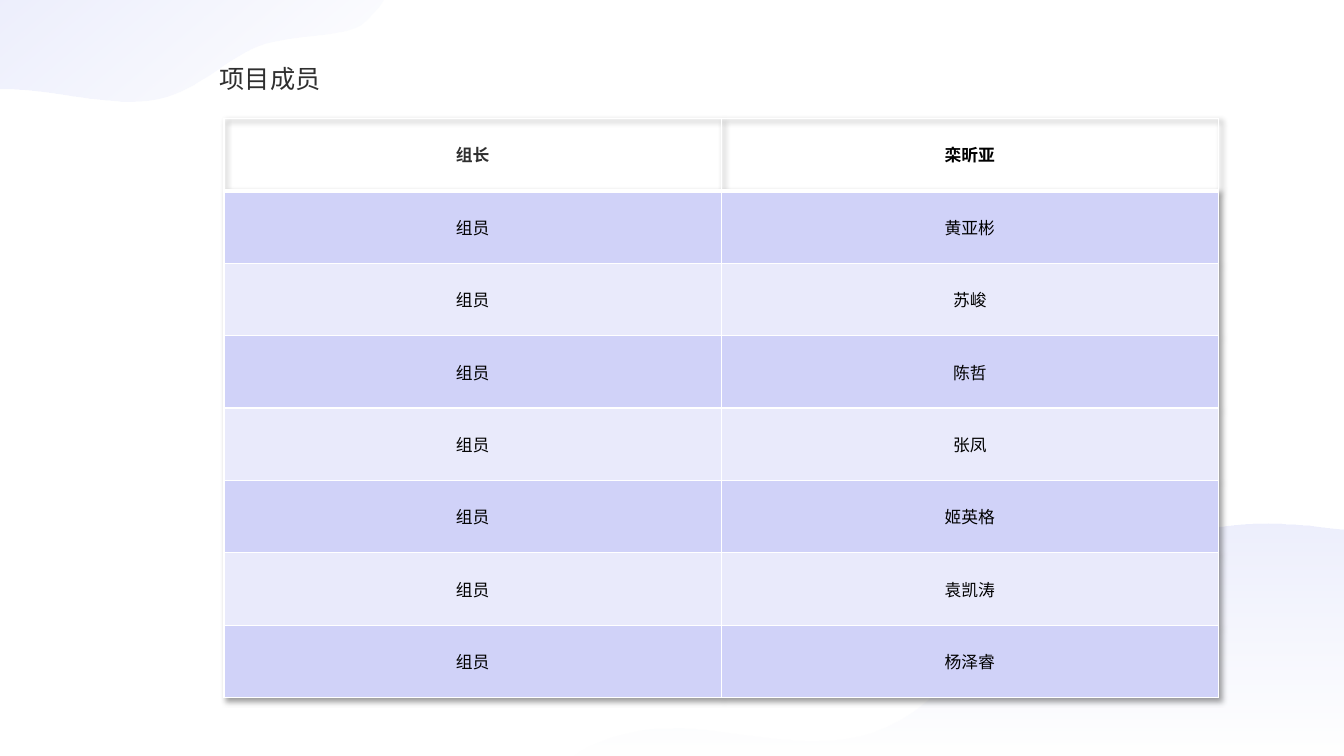
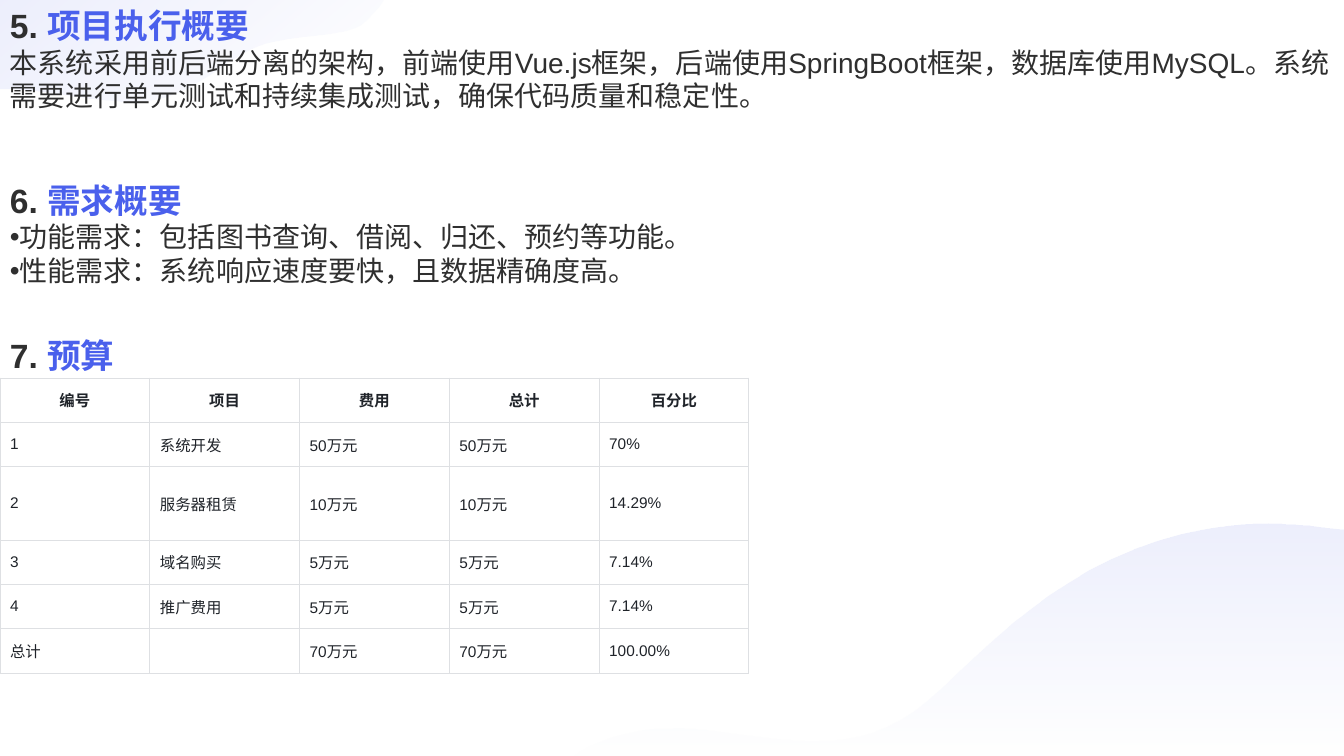
from lxml.etree import SubElement
from pptx import Presentation
from pptx.dml.color import RGBColor
from pptx.enum.text import MSO_ANCHOR, PP_ALIGN
from pptx.oxml.ns import qn
from pptx.util import Pt

INK = RGBColor(0x2F, 0x2F, 0x2F)
BLACK = RGBColor(0x00, 0x00, 0x00)
WHITE = RGBColor(0xFF, 0xFF, 0xFF)
ACCENT = RGBColor(0x4A, 0x60, 0xEC)
WAVE = RGBColor(0xDB, 0xDF, 0xFB)
BAND_DARK = RGBColor(0xD0, 0xD2, 0xF8)
BAND_LIGHT = RGBColor(0xE9, 0xEA, 0xFB)
GRID = RGBColor(0xDE, 0xE0, 0xE3)
BUDGET_INK = RGBColor(0x1F, 0x23, 0x29)

LATIN = "Arial"
CHINESE = "Noto Sans CJK SC"
PLAIN_TABLE = "{2D5ABB26-0587-4C30-8999-92F81FD0307C}"

TITLE = {"name": LATIN, "size": Pt(18), "bold": False}
HEADING = {"name": LATIN, "size": Pt(24), "bold": True}
BODY = {"name": LATIN, "size": Pt(20), "bold": False}

TOP_WAVE = [
    [(0, 0)], [(273.6, 0)], [(272.9, 1.4)],
    [(269.3, 7.9), (262.8, 13), (258.5, 17.3)],
    [(247, 27.4), (209.5, 23.8), (184.3, 33.1)],
    [(159.1, 42.5), (141.1, 67), (106.6, 72)],
    [(80.6, 75.6), (49.7, 67), (14.4, 64.1)],
    [(0, 63.4)],
]
BOTTOM_WAVE = [
    [(905.8, 373.7)],
    [(918.7, 373.7), (931.7, 374.4), (946.1, 376.6)],
    [(960, 378)], [(960, 540)], [(408.2, 540)], [(414.7, 535.7)],
    [(430.6, 526.3), (460.8, 515.5), (504.7, 520.6)],
    [(576, 528.5), (619.2, 542.2), (672.5, 491)],
    [(720, 446.4), (787.7, 375.1), (905.8, 373.7)],
]

MEMBERS = [
    ("组长", "栾昕亚"),
    ("组员", "黄亚彬"),
    ("组员", "苏峻"),
    ("组员", "陈哲"),
    ("组员", "张凤"),
    ("组员", "姬英格"),
    ("组员", "袁凯涛"),
    ("组员", "杨泽睿"),
]
BUDGET = [
    ("编号", "项目", "费用", "总计", "百分比"),
    ("1", "系统开发", "50万元", "50万元", "70%"),
    ("2", "服务器租赁", "10万元", "10万元", "14.29%"),
    ("3", "域名购买", "5万元", "5万元", "7.14%"),
    ("4", "推广费用", "5万元", "5万元", "7.14%"),
    ("总计", "", "70万元", "70万元", "100.00%"),
]
SUMMARY = (
    "本系统采用前后端分离的架构，前端使用Vue.js框架，后端使用SpringBoot框架，"
    "数据库使用MySQL。系统需要进行单元测试和持续集成测试，确保代码质量和稳定性。"
)
REQUIREMENTS = [
    "功能需求：包括图书查询、借阅、归还、预约等功能。",
    "性能需求：系统响应速度要快，且数据精确度高。",
]


def apply_format(target, values):
    for attribute, value in values.items():
        setattr(target, attribute, value)


def add_run(paragraph, text, values, color=INK, east_asian=LATIN):
    run = paragraph.add_run()
    run.text = text
    apply_format(run.font, values)
    run.font.color.rgb = color
    SubElement(run.font._element, qn("a:ea")).set("typeface", east_asian)


def add_heading(paragraph, number, text):
    add_run(paragraph, number + " ", HEADING)
    add_run(paragraph, text, HEADING, ACCENT)


def add_bullet(paragraph):
    properties = paragraph._p.get_or_add_pPr()
    SubElement(properties, qn("a:buFont")).set("typeface", LATIN)
    SubElement(properties, qn("a:buChar")).set("char", "•")


def add_frame(slide, left, top, width, height, anchor=MSO_ANCHOR.TOP):
    box = slide.shapes.add_textbox(Pt(left), Pt(top), Pt(width), Pt(height))
    frame = box.text_frame
    apply_format(frame, {"word_wrap": True, "vertical_anchor": anchor})
    return frame


def bend_segments(wave, segments):
    lines = list(wave.element.iter(qn("a:lnTo")))
    for line, segment in zip(lines, segments[1:]):
        if len(segment) == 1:
            continue
        curve = SubElement(line.getparent(), qn("a:cubicBezTo"))
        line.getparent().replace(line, curve)
        for x, y in segment:
            point = SubElement(curve, qn("a:pt"))
            point.set("x", str(Pt(x) - wave.left))
            point.set("y", str(Pt(y) - wave.top))


def add_wave(slide, segments, angle):
    anchors = [(Pt(x), Pt(y)) for x, y in (segment[-1] for segment in segments)]
    builder = slide.shapes.build_freeform(*anchors[0])
    builder.add_line_segments(anchors[1:], close=True)
    wave = builder.convert_to_shape()
    bend_segments(wave, segments)
    wave.shadow.inherit = False
    wave.line.fill.background()
    wave.fill.gradient()
    wave.fill.gradient_angle = 360 - angle
    for stop, position in zip(wave.fill.gradient_stops, (0, 1)):
        stop.position = position
        stop.color.rgb = WAVE
    for color, opacity in zip(wave.element.iter(qn("a:srgbClr")), (50000, 0)):
        SubElement(color, qn("a:alpha")).set("val", str(opacity))
    return wave


def add_shared_waves(slide):
    for segments, angle in ((TOP_WAVE, 50), (BOTTOM_WAVE, 90)):
        wave = add_wave(slide, segments, angle)
        slide.slide_layout.shapes.element.append(wave.element)


def add_plain_table(slide, rows, left, top, column_width, row_heights):
    columns = len(rows[0])
    table = slide.shapes.add_table(
        len(rows), columns, Pt(left), Pt(top),
        Pt(column_width * columns), Pt(sum(row_heights)),
    ).table
    table.horz_banding = False
    table._tbl.tblPr.find(qn("a:tableStyleId")).text = PLAIN_TABLE
    for column in table.columns:
        column.width = Pt(column_width)
    for row, height in zip(table.rows, row_heights):
        row.height = Pt(height)
    return table


def set_borders(cell, color, width, bottom_width=None):
    properties = cell._tc.get_or_add_tcPr()
    for side in "LRTB":
        line = SubElement(properties, qn("a:ln" + side))
        side_width = bottom_width if side == "B" and bottom_width else width
        line.set("w", str(Pt(side_width)))
        fill = SubElement(line, qn("a:solidFill"))
        SubElement(fill, qn("a:srgbClr")).set("val", str(color))


def set_fill(cell, color=None):
    if color is None:
        cell.fill.background()
    else:
        cell.fill.solid()
        cell.fill.fore_color.rgb = color


def set_cell_text(cell, text, values, color, alignment):
    cell.vertical_anchor = MSO_ANCHOR.MIDDLE
    paragraph = cell.text_frame.paragraphs[0]
    paragraph.alignment = alignment
    if text:
        add_run(paragraph, text, values, color, CHINESE)


def add_table_shadow(table):
    properties = table._tbl.tblPr
    effects = SubElement(properties, qn("a:effectLst"))
    properties.insert(0, effects)
    shadow = SubElement(effects, qn("a:outerShdw"))
    offsets = {"blurRad": Pt(4), "dist": Pt(3), "dir": 2700000, "algn": "tl", "rotWithShape": 0}
    for key, value in offsets.items():
        shadow.set(key, str(value))
    color = SubElement(shadow, qn("a:srgbClr"))
    color.set("val", str(BLACK))
    SubElement(color, qn("a:alpha")).set("val", "40000")


def add_members_table(slide):
    table = add_plain_table(slide, MEMBERS, 160, 84.5, 355.2, [51.75] * len(MEMBERS))
    add_table_shadow(table)
    for r, member in enumerate(MEMBERS):
        band = BAND_DARK if r % 2 else BAND_LIGHT
        for c, text in enumerate(member):
            cell = table.cell(r, c)
            set_borders(cell, WHITE, 1, None if r else 3)
            set_fill(cell, band if r else None)
            values = {"name": LATIN if c else CHINESE, "size": Pt(12), "bold": r == 0}
            color = INK if (r, c) == (0, 0) else BLACK
            set_cell_text(cell, text, values, color, PP_ALIGN.CENTER)


def add_budget_table(slide):
    heights = [31.6, 31.6, 52.6, 31.6, 31.6, 31.9]
    table = add_plain_table(slide, BUDGET, 0, 270, 107, heights)
    for r, entry in enumerate(BUDGET):
        values = {"name": LATIN, "size": Pt(11), "bold": r == 0}
        alignment = PP_ALIGN.LEFT if r else PP_ALIGN.CENTER
        for c, text in enumerate(entry):
            cell = table.cell(r, c)
            set_borders(cell, GRID, 0.6)
            set_fill(cell)
            set_cell_text(cell, text, values, BUDGET_INK, alignment)


def build_members(slide):
    add_members_table(slide)
    title = add_frame(slide, 73.4, 41.8, 239, 28.8).paragraphs[0]
    title.alignment = PP_ALIGN.CENTER
    add_run(title, "项目成员", TITLE)


def build_overview(slide):
    overview = add_frame(slide, 0, 0, 960, 211)
    add_heading(overview.paragraphs[0], "5.", "项目执行概要")
    add_run(overview.add_paragraph(), SUMMARY, BODY)
    requirements_heading = overview.add_paragraph()
    requirements_heading.space_before = Pt(48)
    add_heading(requirements_heading, "6.", "需求概要")
    for requirement in REQUIREMENTS:
        item = overview.add_paragraph()
        add_bullet(item)
        add_run(item, requirement, BODY)
    add_budget_table(slide)
    budget = add_frame(slide, 0, 214, 114, 80, MSO_ANCHOR.MIDDLE)
    add_heading(budget.paragraphs[0], "7.", "预算")


def main():
    presentation = Presentation()
    apply_format(presentation, {"slide_width": Pt(960), "slide_height": Pt(540)})
    blank = presentation.slide_layouts[6]
    members = presentation.slides.add_slide(blank)
    overview = presentation.slides.add_slide(blank)
    add_shared_waves(members)
    build_members(members)
    build_overview(overview)
    presentation.save("out.pptx")


if __name__ == "__main__":
    main()
